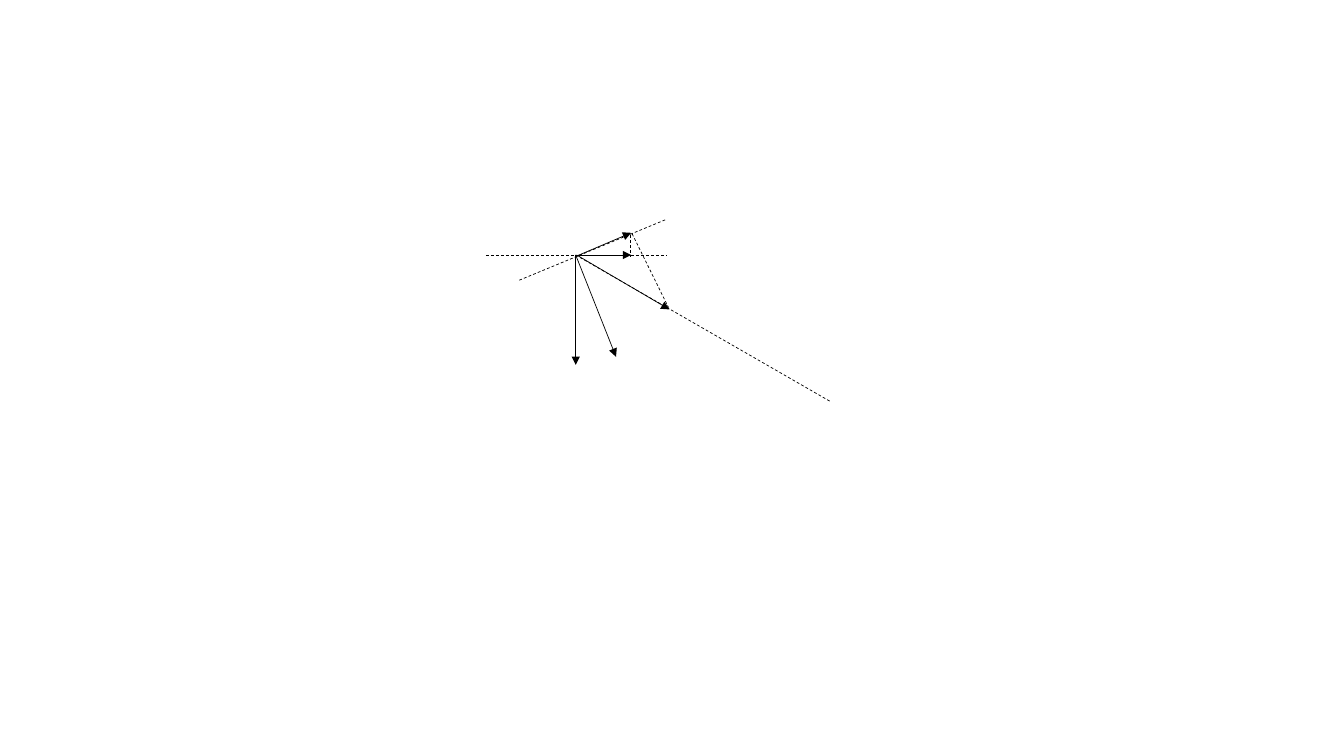
from lxml import etree
from pptx import Presentation
from pptx.dml.color import RGBColor
from pptx.enum.dml import MSO_LINE
from pptx.enum.shapes import MSO_CONNECTOR
from pptx.oxml.ns import qn
from pptx.util import Inches, Pt

BLACK = RGBColor(0, 0, 0)
STRAIGHT = MSO_CONNECTOR.STRAIGHT
DASH = MSO_LINE.DASH
BLANK_LAYOUT = 6

ORIGIN = (5.71, 2.53)
VECTOR_START = (5.72, 2.53)


class VectorDiagram:
    """Draws thin black lines and vectors on one page."""

    def __init__(self, page, color=BLACK, width=0.5):
        self.page = page
        self.color = color
        self.width = Pt(width)

    def line(self, start, end):
        points = [Inches(value) for value in (*start, *end)]
        connector = self.page.shapes.add_connector(STRAIGHT, *points)
        connector.line.color.rgb = self.color
        connector.line.width = self.width
        etree.SubElement(connector._element.spPr, qn("a:effectLst"))
        return connector

    def dashed(self, start, end):
        self.line(start, end).line.dash_style = DASH

    def vector(self, start, end):
        outline = self.line(start, end).line._get_or_add_ln()
        etree.SubElement(outline, qn("a:tailEnd"), type="triangle")


def main():
    deck = Presentation()
    deck.slide_width = Inches(13.33)
    deck.slide_height = Inches(7.5)
    page = deck.slides.add_slide(deck.slide_layouts[BLANK_LAYOUT])
    diagram = VectorDiagram(page)

    # Inclined vectors and the long line of sight
    diagram.vector(ORIGIN, (6.11, 3.54))
    diagram.vector(VECTOR_START, (6.64, 3.07))
    diagram.dashed(ORIGIN, (8.23, 3.98))

    # Horizontal axis, vertical vector and tilted axis
    diagram.dashed((4.82, 2.53), (6.62, 2.53))
    diagram.vector(ORIGIN, (5.71, 3.62))
    diagram.dashed((5.15, 2.78), (6.6, 2.18))

    # Projections onto the two axes
    diagram.vector((5.72, 2.54), (6.26, 2.31))
    diagram.dashed((6.27, 2.32), (6.63, 3.05))
    diagram.vector(VECTOR_START, (6.26, 2.53))
    diagram.dashed((6.25, 2.33), (6.25, 2.55))

    deck.save("out.pptx")


if __name__ == "__main__":
    main()
